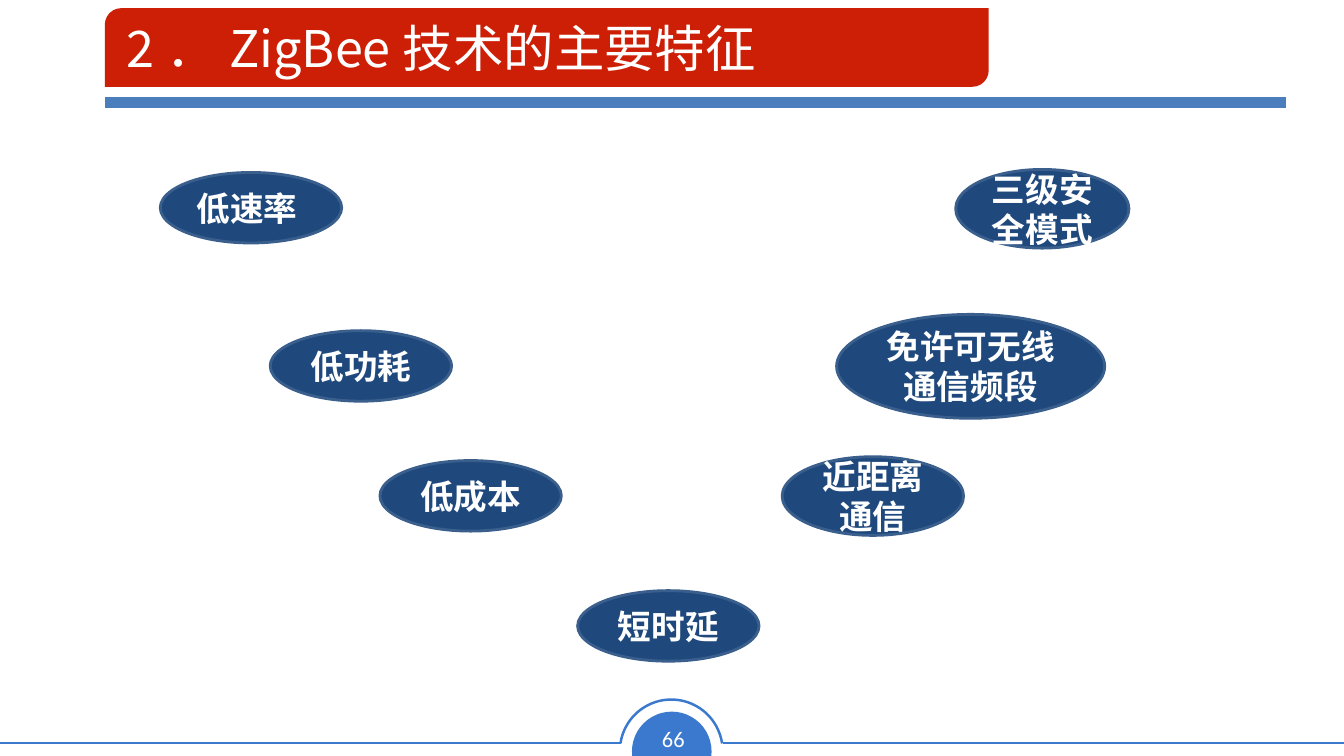
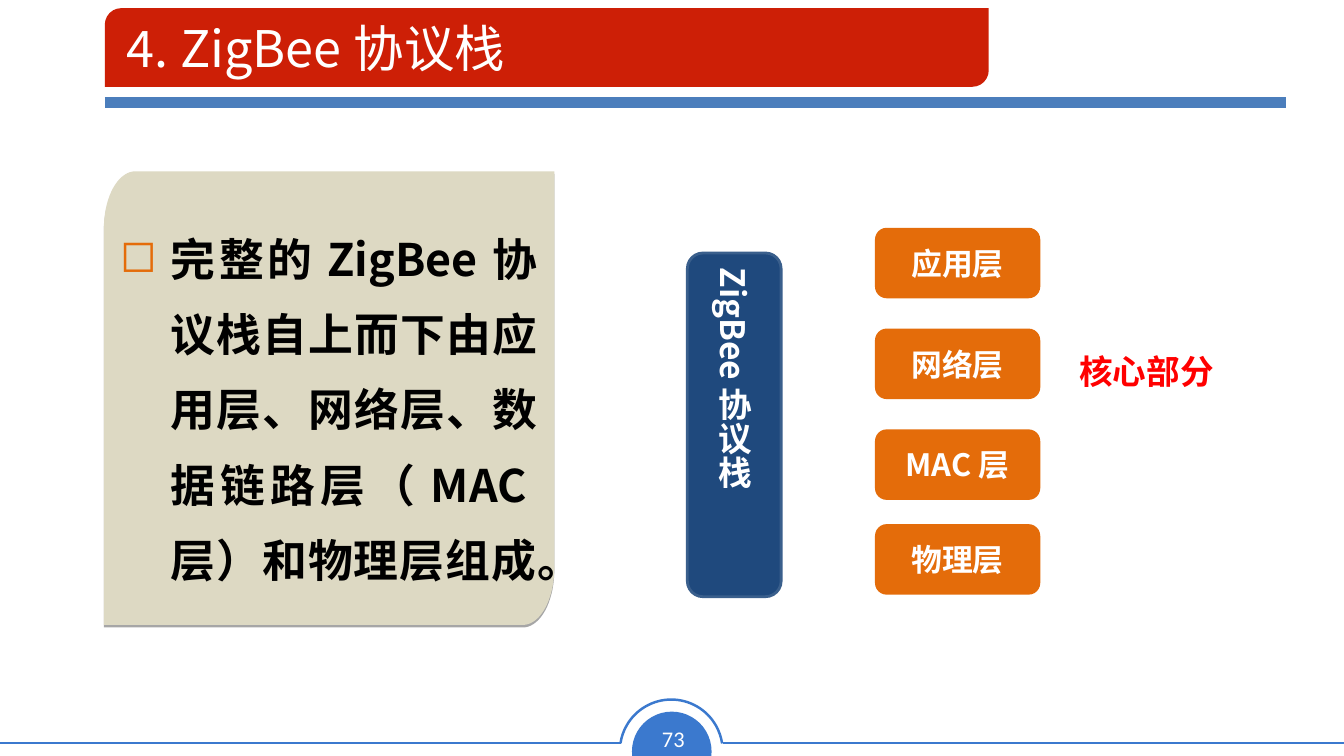
import math
from dataclasses import dataclass
from typing import Optional

import lxml.etree
import pptx
import pptx.dml.color
import pptx.enum.shapes
import pptx.enum.text
import pptx.oxml.ns
import pptx.util

Pt = pptx.util.Pt
qn = pptx.oxml.ns.qn
SHAPE = pptx.enum.shapes.MSO_SHAPE
ALIGN = pptx.enum.text.PP_ALIGN
ANCHOR = pptx.enum.text.MSO_ANCHOR


@dataclass(frozen=True)
class Theme:
    title_red: str = "CD1F06"
    rule_blue: str = "4B7EBC"
    footer_blue: str = "3B79CE"
    navy: str = "1F497D"
    navy_edge: str = "3A5F8C"
    orange: str = "E46C0A"
    sand: str = "DDD9C3"
    white: str = "FFFFFF"
    black: str = "000000"
    red: str = "FF0000"
    font: str = "Noto Sans CJK SC"
    number_font: str = "Calibri"
    title_size: float = 36
    body_size: float = 32
    label_size: float = 24
    layer_size: float = 22
    number_size: float = 16


THEME = Theme()


@dataclass(frozen=True)
class Box:
    left: float
    top: float
    width: float
    height: float

    def lengths(self) -> tuple:
        return Pt(self.left), Pt(self.top), Pt(self.width), Pt(self.height)


@dataclass(frozen=True)
class TextStyle:
    size: float
    color: str = THEME.white
    bold: bool = True
    font: str = THEME.font
    align: ALIGN = ALIGN.CENTER
    anchor: ANCHOR = ANCHOR.MIDDLE
    wrap: bool = True


@dataclass(frozen=True)
class Feature:
    label: str
    box: Box
    align: ALIGN = ALIGN.CENTER


@dataclass(frozen=True)
class Layer:
    label: str
    top: float


FEATURES = [
    Feature("低功耗", Box(193, 236.2, 129.6, 50.4)),
    Feature("低成本", Box(271.4, 329, 129.6, 50.4)),
    Feature("短时延", Box(412.6, 421.9, 129.6, 50.4)),
    Feature("近距离通信", Box(558.7, 326.2, 129.6, 56.2)),
    Feature("免许可无线通信频段", Box(597.6, 224.6, 191.5, 74.2)),
    Feature("三级安全模式", Box(682.6, 121, 123.8, 56.2)),
    Feature("低速率", Box(114.5, 123.2, 129.6, 50.4), ALIGN.LEFT),
]
LAYERS = [
    Layer("应用层", 162.7),
    Layer("网络层", 234.7),
    Layer("MAC层", 306.7),
    Layer("物理层", 374.4),
]


# Text and shape helpers
def rgb(color: str) -> pptx.dml.color.RGBColor:
    return pptx.dml.color.RGBColor.from_string(color)


def write(shape, text: str, style: TextStyle):
    frame = shape.text_frame
    frame.word_wrap = style.wrap
    frame.vertical_anchor = style.anchor
    paragraph = frame.paragraphs[0]
    paragraph.alignment = style.align
    run = paragraph.add_run()
    run.text = text
    formats = {"size": Pt(style.size), "bold": style.bold, "name": style.font}
    for name, value in formats.items():
        setattr(run.font, name, value)
    run.font.color.rgb = rgb(style.color)
    east_asian = lxml.etree.Element(qn("a:ea"), typeface=style.font)
    run.font._element.find(qn("a:latin")).addnext(east_asian)
    return paragraph


def paint(shape, fill: Optional[str], edge: Optional[str] = None, weight: float = 2) -> None:
    shape.shadow.inherit = False
    if fill:
        shape.fill.solid()
        shape.fill.fore_color.rgb = rgb(fill)
    else:
        shape.fill.background()
    if edge:
        shape.line.color.rgb = rgb(edge)
        shape.line.width = Pt(weight)
    else:
        shape.line.fill.background()


def add_block(slide, kind: SHAPE, box: Box, fill: Optional[str], edge: Optional[str] = None,
              weight: float = 2, adjust: tuple = ()):
    block = slide.shapes.add_shape(kind, *box.lengths())
    for index, value in enumerate(adjust):
        block.adjustments[index] = value
    paint(block, fill, edge, weight)
    return block


def add_label(slide, box: Box, text: str, style: TextStyle) -> None:
    write(slide.shapes.add_textbox(*box.lengths()), text, style)


def add_rule(slide, start: float, end: float, y: float, color: str, weight: float) -> None:
    rule = slide.shapes.add_connector(
        pptx.enum.shapes.MSO_CONNECTOR.STRAIGHT, Pt(start), Pt(y), Pt(end), Pt(y))
    rule.line.color.rgb = rgb(color)
    rule.line.width = Pt(weight)
    lxml.etree.SubElement(rule._element.spPr, qn("a:effectLst"))


# Frame shared by the slides
def add_framed_slide(deck, title: str, number: str):
    slide = deck.slides.add_slide(deck.slide_layouts[6])
    # Footer with page number
    badge = add_block(slide, SHAPE.CHORD, Box(451.4, 508.3, 56.9, 56.9),
                      THEME.footer_blue, adjust=(35.77, 153.29))
    badge.rotation = 112.4
    for start, end in ((516.2, 960), (0, 443.5)):
        add_rule(slide, start, end, 530.6, THEME.footer_blue, 1.77)
    add_block(slide, SHAPE.ARC, Box(442.8, 499.7, 73.4, 73.4), None,
              THEME.footer_blue, 1.77, (113.17, 210.98))
    add_label(slide, Box(464.4, 514.1, 33.1, 26.6), number,
              TextStyle(THEME.number_size, bold=False, font=THEME.number_font, wrap=False))
    # Title band
    add_rule(slide, 74.9, 918.7, 73.4, THEME.rule_blue, 8)
    add_block(slide, SHAPE.ROUND_2_DIAG_RECTANGLE, Box(74.9, 5.8, 631.4, 56.2),
              THEME.title_red, adjust=(0.21, 0))
    add_label(slide, Box(83.5, 7.2, 833, 53.3), title,
              TextStyle(THEME.title_size, bold=False, align=ALIGN.LEFT))
    return slide


# Panel with two opposite rounded corners
def add_panel(slide, box: Box, radius_x: float, radius_y: float):
    right, bottom = box.left + box.width, box.top + box.height

    def corner(center_x: float, center_y: float, start: int) -> list:
        angles = [math.radians(start + step) for step in range(0, 91, 5)]
        return [(Pt(center_x + radius_x * math.cos(a)), Pt(center_y + radius_y * math.sin(a)))
                for a in angles]

    outline = [
        *corner(box.left + radius_x, box.top + radius_y, 180),
        (Pt(right), Pt(box.top)),
        *corner(right - radius_x, bottom - radius_y, 0),
        (Pt(box.left), Pt(bottom)),
    ]
    builder = slide.shapes.build_freeform(*outline[0])
    builder.add_line_segments(outline[1:], close=True)
    panel = builder.convert_to_shape()
    paint(panel, THEME.sand)
    effects = panel._element.spPr.find(qn("a:effectLst"))
    shadow = lxml.etree.SubElement(effects, qn("a:outerShdw"), blurRad="0",
                                   dist=str(Pt(1.8)), dir="5400000", rotWithShape="0")
    tint = lxml.etree.SubElement(shadow, qn("a:srgbClr"), val=THEME.black)
    lxml.etree.SubElement(tint, qn("a:alpha"), val="35000")
    return panel


def add_bullet(paragraph, mark: str, color: str, indent: float) -> None:
    properties = paragraph._p.get_or_add_pPr()
    properties.set("marL", str(Pt(indent)))
    properties.set("indent", str(-Pt(indent)))
    tint = lxml.etree.SubElement(properties, qn("a:buClr"))
    lxml.etree.SubElement(tint, qn("a:srgbClr"), val=color)
    lxml.etree.SubElement(properties, qn("a:buChar"), char=mark)


def build_features(deck) -> None:
    slide = add_framed_slide(deck, "2．ZigBee技术的主要特征", "66")
    for feature in FEATURES:
        oval = add_block(slide, SHAPE.OVAL, feature.box, THEME.navy, THEME.navy_edge)
        write(oval, feature.label, TextStyle(THEME.label_size, align=feature.align))


def build_protocol_stack(deck) -> None:
    slide = add_framed_slide(deck, "4. ZigBee协议栈", "73")
    # Stack and its layers
    stack = add_block(slide, SHAPE.ROUNDED_RECTANGLE, Box(491, 180.7, 67, 245.5),
                      THEME.navy, THEME.navy_edge)
    write(stack, "ZigBee协议栈", TextStyle(THEME.label_size))
    stack.text_frame._txBody.bodyPr.set("vert", "eaVert")
    for layer in LAYERS:
        tile = add_block(slide, SHAPE.ROUNDED_RECTANGLE, Box(625, layer.top, 118.1, 50.4),
                         THEME.orange)
        write(tile, layer.label, TextStyle(THEME.layer_size))
    add_label(slide, Box(763.9, 247, 154.1, 36), "核心部分",
              TextStyle(THEME.label_size, THEME.red, align=ALIGN.LEFT, anchor=ANCHOR.TOP))
    # Explanation
    panel = add_panel(slide, Box(74.2, 122.4, 321.8, 324), 22.5, 41)
    panel.text_frame.margin_left = Pt(11.5)
    panel.text_frame.margin_right = Pt(12)
    summary = write(
        panel, "完整的ZigBee协议栈自上而下由应用层、网络层、数据链路层（MAC层）和物理层组成。",
        TextStyle(THEME.body_size, THEME.black, align=ALIGN.JUSTIFY))
    add_bullet(summary, "◻", THEME.orange, 36)
    summary.line_spacing = 1.4


def main() -> None:
    deck = pptx.Presentation()
    deck.slide_width, deck.slide_height = Pt(960), Pt(540)
    build_features(deck)
    build_protocol_stack(deck)
    deck.save("out.pptx")


if __name__ == "__main__":
    main()
